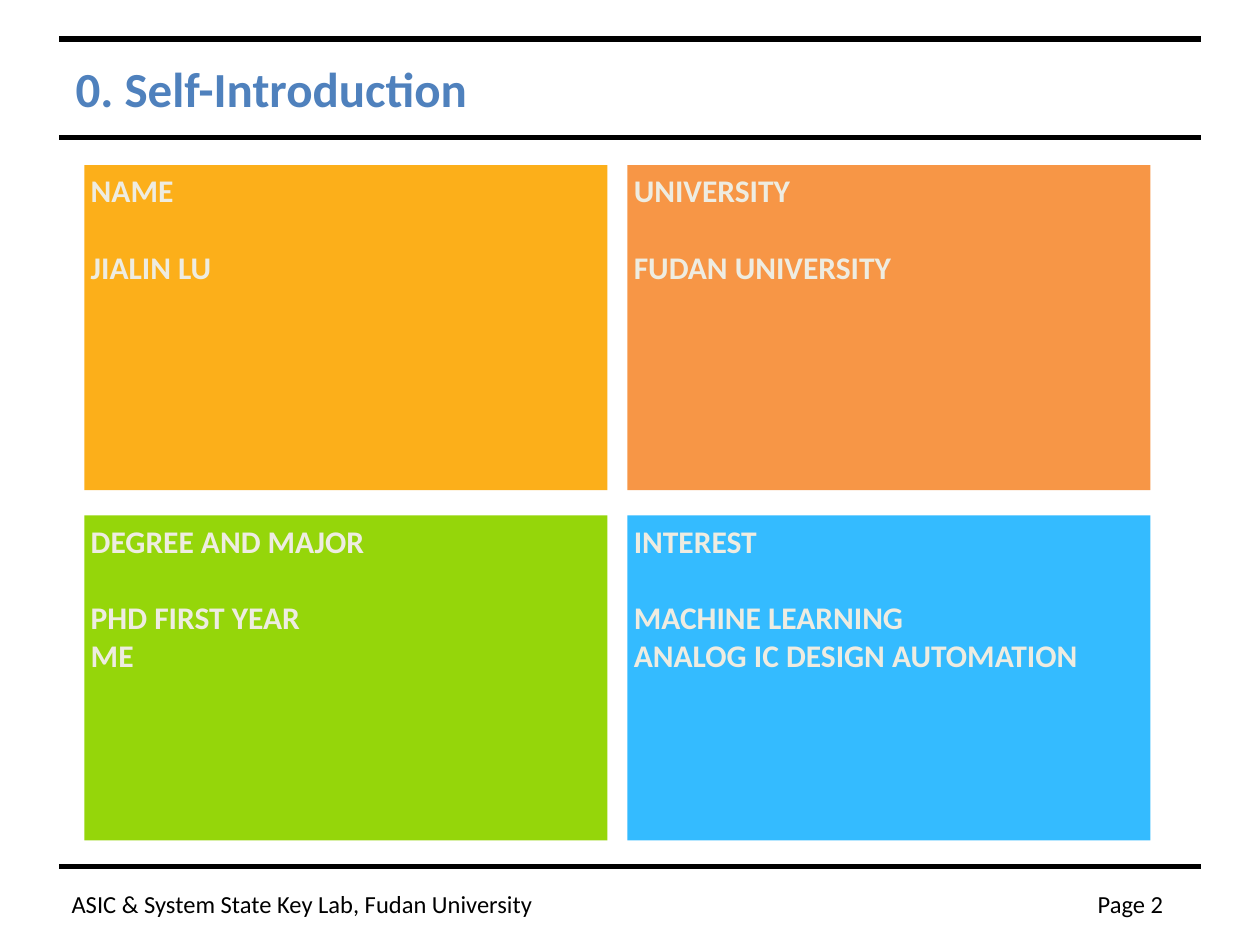
from pptx import Presentation
from pptx.dml.color import RGBColor
from pptx.enum.shapes import MSO_CONNECTOR, MSO_SHAPE
from pptx.enum.text import MSO_ANCHOR, PP_ALIGN
from pptx.oxml.ns import qn
from pptx.util import Inches, Pt
from lxml.etree import SubElement

TITLE = "0. Self-Introduction"
CARDS = [  # row by row: heading, lines, fill
    ("NAME", ["JIALIN LU"], "FCAF1A"),
    ("UNIVERSITY", ["FUDAN UNIVERSITY"], "F79646"),
    ("DEGREE AND MAJOR", ["PHD FIRST YEAR", "ME"], "95D60A"),
    ("INTEREST", ["MACHINE LEARNING", "ANALOG IC DESIGN AUTOMATION"], "34BBFF"),
]
FOOTER = [  # text, left, width, alignment
    ("ASIC & System State Key Lab, Fudan University", 0.47, 6, PP_ALIGN.LEFT),
    ("Page 2", 7.33, 2, PP_ALIGN.RIGHT),
]
RULES = [0.31, 1.09, 6.88]
LEFT, TOP, WIDTH, HEIGHT = 0.67, 1.31, 4.15, 2.58
STEP_X, STEP_Y = 4.31, 2.78


def color(code):
    return RGBColor.from_string(code)


def style(par, size, code, bold=False, align=PP_ALIGN.LEFT):
    par.alignment = align
    font = par.font
    font.name, font.size, font.bold = "Calibri", Pt(size), bold
    font.color.rgb = color(code)


def add_rule(slide, y):
    line = slide.shapes.add_connector(
        MSO_CONNECTOR.STRAIGHT, Inches(0.47), Inches(y), Inches(9.53), Inches(y))
    line.line.width = Pt(3)
    line.line.color.rgb = color("000000")
    SubElement(line._element.spPr, qn("a:effectLst"))


def add_footer(slide, text, left, width, align):
    box = slide.shapes.add_textbox(
        Inches(left), Inches(7.01), Inches(width), Inches(0.34))
    frame = box.text_frame
    frame.word_wrap = True
    frame.text = text
    style(frame.paragraphs[0], 14, "000000", align=align)


def add_card(slide, x, y, head, lines, fill):
    card = slide.shapes.add_shape(
        MSO_SHAPE.RECTANGLE, Inches(x), Inches(y), Inches(WIDTH), Inches(HEIGHT))
    card.shadow.inherit = False
    card.fill.solid()
    card.fill.fore_color.rgb = color(fill)
    card.line.fill.background()
    frame = card.text_frame
    frame.word_wrap = True
    frame.vertical_anchor = MSO_ANCHOR.TOP
    frame.margin_left = frame.margin_right = Inches(0.05)
    frame.margin_top = frame.margin_bottom = Inches(0.05)
    frame.text = "\n".join([head, *lines])
    for par in frame.paragraphs:
        style(par, 18, "EEECE1", bold=True)
    frame.paragraphs[0].space_after = Pt(22)


def main():
    deck = Presentation()
    deck.slide_width, deck.slide_height = Inches(10), Inches(7.5)
    slide = deck.slides.add_slide(deck.slide_layouts[5])

    for y in RULES:
        add_rule(slide, y)
    for item in FOOTER:
        add_footer(slide, *item)

    title = slide.shapes.title
    title.left, title.top = Inches(0.5), Inches(0.3)
    title.width, title.height = Inches(9), Inches(0.79)
    title.text_frame.text = TITLE
    title.text_frame.vertical_anchor = MSO_ANCHOR.MIDDLE
    style(title.text_frame.paragraphs[0], 28, "4F81BD", bold=True)

    for i, card in enumerate(CARDS):
        row, col = divmod(i, 2)
        add_card(slide, LEFT + col * STEP_X, TOP + row * STEP_Y, *card)

    deck.save("out.pptx")


if __name__ == "__main__":
    main()
